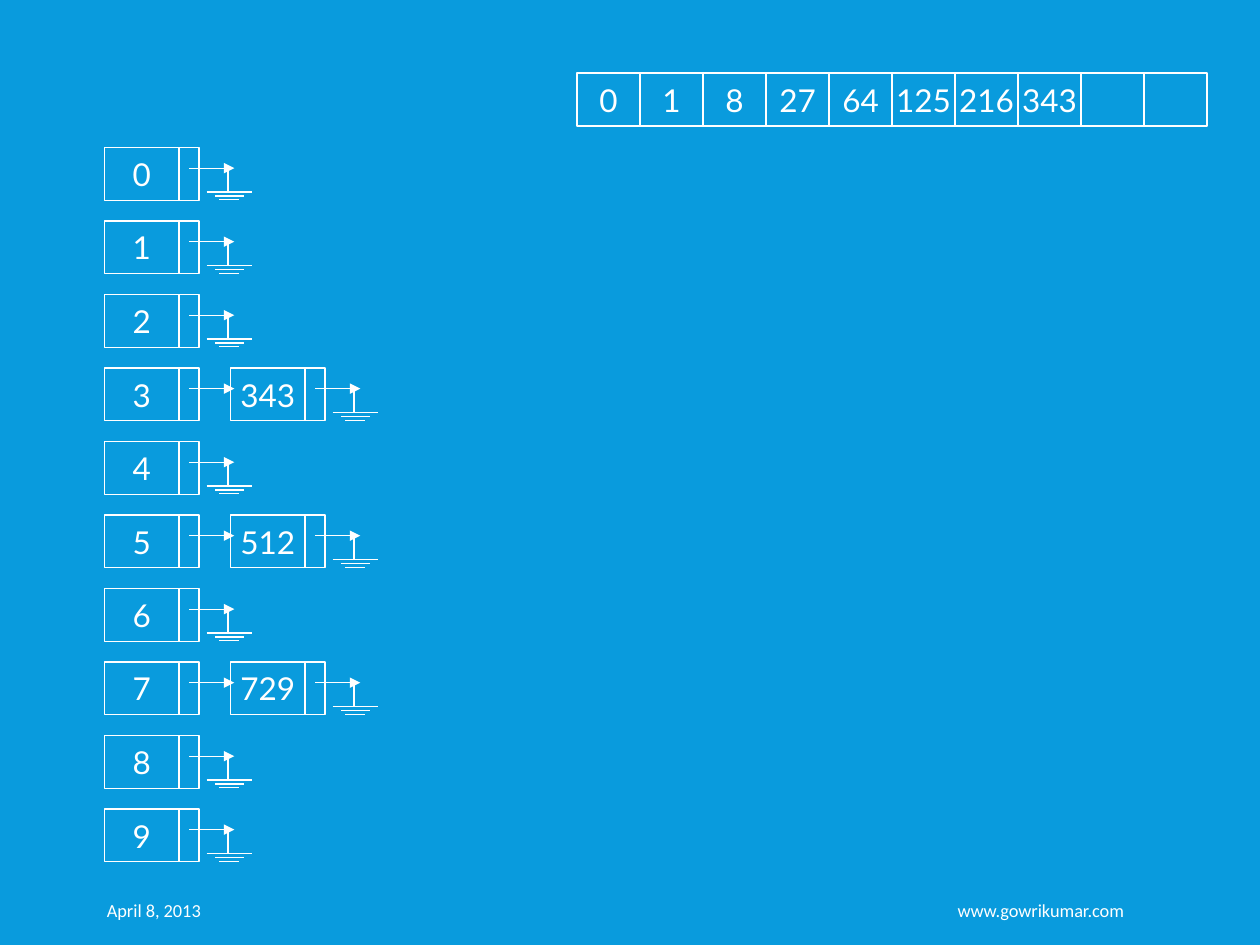
from lxml.etree import SubElement
from pptx import Presentation
from pptx.dml.color import RGBColor
from pptx.enum.shapes import MSO_CONNECTOR, MSO_SHAPE
from pptx.enum.text import MSO_ANCHOR, PP_ALIGN
from pptx.oxml.ns import qn
from pptx.util import Inches, Pt

WHITE, BLUE = "FFFFFF", "099BDD"
LINE_WIDTH = 0.75
ARRAY_LEFT, ARRAY_TOP, CELL_WIDTH = 4.58, 0.58, 0.5
LIST_LEFT, LIST_TOP = 0.83, 1.17
ROW_PITCH = 7 / 12
NODE_PITCH = 1
DATA_WIDTH, LINK_WIDTH, BOX_HEIGHT = 0.59, 0.16, 0.42

ARRAY = [0, 1, 8, 27, 64, 125, 216, 343, "", ""]
BUCKETS = 10
CHAINS = {3: [343], 5: [512], 7: [729]}


def color(hex_value):
    return RGBColor.from_string(hex_value)


def write(sp, text, size, font, align, wrap, margins):
    tf = sp.text_frame
    values = {"word_wrap": wrap, "vertical_anchor": MSO_ANCHOR.MIDDLE, **margins}
    for name, value in values.items():
        setattr(tf, name, value)
    p = tf.paragraphs[0]
    p.alignment = align
    r = p.add_run()
    r.text = text
    for name, value in {"size": Pt(size), "name": font}.items():
        setattr(r.font, name, value)
    r.font.color.rgb = color(WHITE)


def add_box(shapes, x, y, width, text=""):
    sp = shapes.add_shape(MSO_SHAPE.RECTANGLE, Inches(x), Inches(y),
                          Inches(width), Inches(BOX_HEIGHT))
    sp.shadow.inherit = False
    sp.fill.background()
    sp.line.color.rgb = color(WHITE)
    sp.line.width = Pt(LINE_WIDTH)
    if text:
        write(sp, text, 18, "Lato", PP_ALIGN.CENTER, False, {})


def add_line(shapes, x1, y1, x2, y2, arrow=False):
    cxn = shapes.add_connector(MSO_CONNECTOR.STRAIGHT, Inches(x1), Inches(y1),
                               Inches(x2), Inches(y2))
    cxn.line.color.rgb = color(WHITE)
    cxn.line.width = Pt(LINE_WIDTH)
    sp_pr = cxn._element.spPr
    if arrow:
        SubElement(sp_pr.find(qn("a:ln")), qn("a:tailEnd"), type="triangle")
    SubElement(sp_pr, qn("a:effectLst"))


def add_ground(shapes, x, y):
    """Draw the null-pointer symbol hanging from the point (x, y)."""
    for left, right, drop in [(-0.17, 0.19, 0.19), (-0.07, 0.09, 0.25),
                              (-0.1, 0.13, 0.22)]:
        add_line(shapes, x + left, y + drop, x + right, y + drop)
    add_line(shapes, x, y + 0.19, x, y)


def add_node(s, x, y, text, is_last):
    shapes = s.shapes.add_group_shape().shapes
    add_box(shapes, x, y, DATA_WIDTH, text)
    add_box(shapes, x + DATA_WIDTH, y, LINK_WIDTH)
    link_y = y + 0.165
    add_line(shapes, x + 0.67, link_y, x + 1.03, link_y, arrow=True)
    if is_last:
        add_ground(shapes, x + 0.98, link_y)


def add_bucket(s, index):
    values = [index] + CHAINS.get(index, [])
    for i, value in enumerate(values):
        add_node(s, LIST_LEFT + i * NODE_PITCH, LIST_TOP + index * ROW_PITCH,
                 str(value), i == len(values) - 1)


def add_footer(s, x, width, text, align, margins):
    sp = s.shapes.add_textbox(Inches(x), Inches(7.02), Inches(width), Inches(0.4))
    write(sp, text, 10.5, "Calibri", align, True, margins)


def main():
    prs = Presentation()
    prs.slide_width, prs.slide_height = Inches(10), Inches(7.5)
    s = prs.slides.add_slide(prs.slide_layouts[6])
    s.background.fill.solid()
    s.background.fill.fore_color.rgb = color(BLUE)

    add_footer(s, 0.75, 2.84, "April 8, 2013", PP_ALIGN.LEFT,
               {"margin_right": Inches(0.05)})
    add_footer(s, 4.58, 4.44, "www.gowrikumar.com", PP_ALIGN.RIGHT, {})
    for i, value in enumerate(ARRAY):
        add_box(s.shapes, ARRAY_LEFT + i * CELL_WIDTH, ARRAY_TOP, CELL_WIDTH,
                str(value))
    for index in range(BUCKETS):
        add_bucket(s, index)

    prs.save("out.pptx")


if __name__ == "__main__":
    main()
